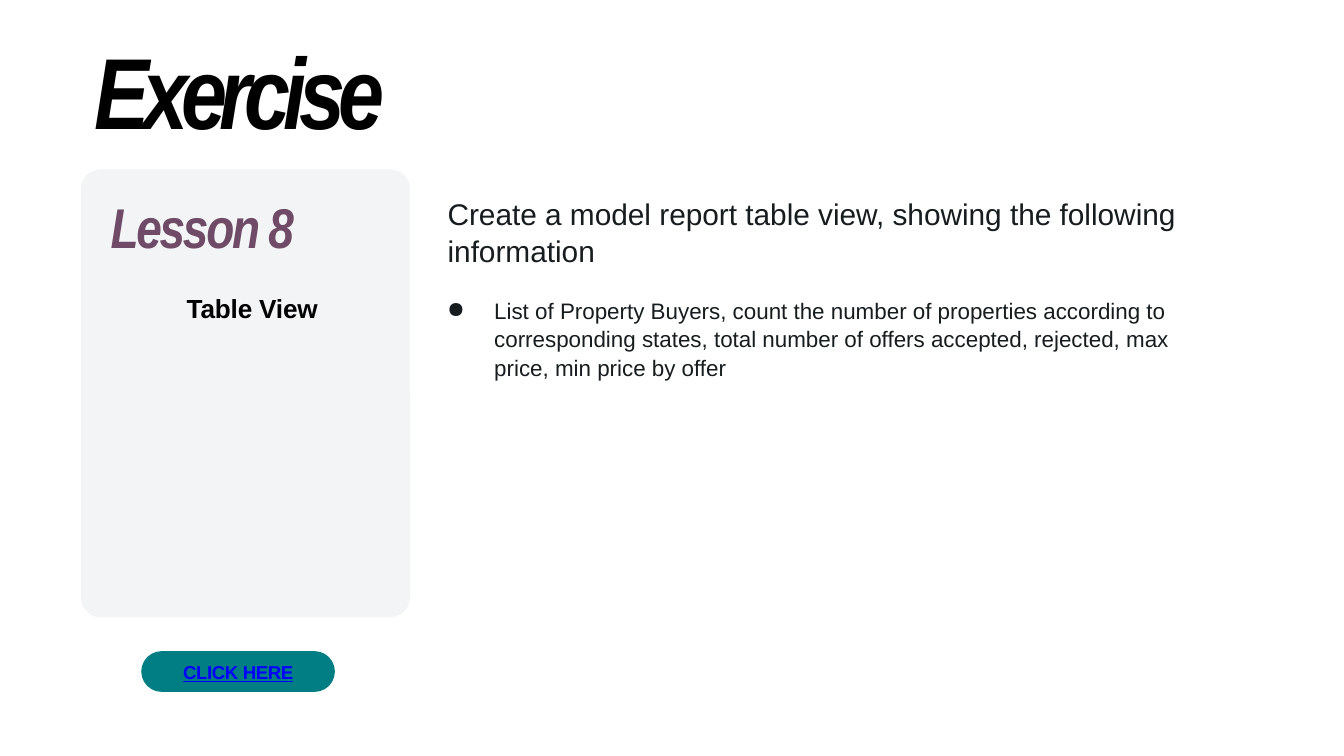
from lxml import etree
from pptx import Presentation
from pptx.dml.color import RGBColor
from pptx.enum.shapes import MSO_SHAPE
from pptx.enum.text import MSO_ANCHOR, MSO_AUTO_SIZE, PP_ALIGN
from pptx.oxml.ns import qn
from pptx.util import Cm, Pt

ROUNDED = MSO_SHAPE.ROUNDED_RECTANGLE
TOP, LEFT, NO_AUTOFIT = MSO_ANCHOR.TOP, PP_ALIGN.LEFT, MSO_AUTO_SIZE.NONE
TITLE_ONLY = 5

# Tracking is in hundredths of a point.
THEME = {
    "card": "F2F4F6",
    "button": "017E83",
    "styles": {
        "title": dict(name="Arial Narrow", size=54, color="000000", bold=True, italic=True, tracking=-380),
        "lesson": dict(name="Arial Narrow", size=30, color="704B67", bold=True, italic=True, tracking=-120),
        "topic": dict(name="Arial", size=14, color="000000", bold=True, tracking=-10),
        "task": dict(name="Arial", size=16, color="171C1F"),
        "detail": dict(name="Arial", size=12, color="171C1F"),
        "link": dict(name="Arial", size=10, color="0000FF", bold=True, underline=True, tracking=-20),
    },
}

# Boxes are left, top, width, height in centimetres.
PANELS = [
    dict(box=(1.53, 3.2, 6.22, 8.46), color="card", rounding=0.06),
    dict(box=(2.67, 12.3, 3.66, 0.77), color="button", rounding=0.5),
]
TITLE = dict(box=(0.51, 0.36, 8.81, 2.49), inset=0.18,
             paragraphs=[dict(text="Exercise", style="title", margin=1.27)])
TEXTS = [
    dict(box=(8.43, 3.63, 16.54, 1.4), paragraphs=[
        dict(text="Create a model report table view, showing the following information",
             style="task", line_spacing=1.05)]),
    dict(box=(8.43, 5.56, 14.35, 1.57), paragraphs=[
        dict(text="List of Property Buyers, count the number of properties according to "
                  "corresponding states, total number of offers accepted, rejected, max "
                  "price, min price by offer",
             style="detail", line_spacing=1.05, margin=0.91, indent=-0.89, bullet="●")]),
    dict(box=(2.06, 3.61, 5.69, 2.54), paragraphs=[
        dict(text="Lesson 8", style="lesson"),
        dict(text="Table View", style="topic", margin=1.47, space_before=17.2)]),
    dict(box=(3.43, 12.45, 2.16, 0.48), paragraphs=[
        dict(text="CLICK HERE", style="link")]),
]


def lengths(box):
    return [Cm(value) for value in box]


def add_panel(slide, panel):
    shape = slide.shapes.add_shape(ROUNDED, *lengths(panel["box"]))
    shape.adjustments[0] = panel["rounding"]
    shape.shadow.inherit = False
    shape.fill.solid()
    shape.fill.fore_color.rgb = RGBColor.from_string(THEME[panel["color"]])
    shape.line.fill.background()


def write_run(paragraph, text, style):
    run = paragraph.add_run()
    run.text = text
    values = dict(style)
    run.font.color.rgb = RGBColor.from_string(values.pop("color"))
    run.font.size = Pt(values.pop("size"))
    tracking = values.pop("tracking", 0)
    for name, value in values.items():
        setattr(run.font, name, value)
    if tracking:
        run.font._element.set("spc", str(tracking))


def write_paragraph(paragraph, content):
    paragraph.alignment = LEFT
    paragraph.space_before = Pt(content.get("space_before", 1))
    paragraph.line_spacing = content.get("line_spacing", 1.0)
    properties = paragraph._p.get_or_add_pPr()
    properties.set("marL", str(Cm(content.get("margin", 0.03))))
    properties.set("indent", str(Cm(content.get("indent", 0))))
    if "bullet" in content:
        etree.SubElement(properties, qn("a:buChar")).set("char", content["bullet"])
    write_run(paragraph, content["text"], THEME["styles"][content["style"]])


def fill_text(shape, content):
    shape.left, shape.top, shape.width, shape.height = lengths(content["box"])
    frame = shape.text_frame
    settings = dict(word_wrap=True, auto_size=NO_AUTOFIT, vertical_anchor=TOP,
                    margin_left=0, margin_right=0, margin_bottom=0,
                    margin_top=Cm(content.get("inset", 0.03)))
    for name, value in settings.items():
        setattr(frame, name, value)
    for index, paragraph_content in enumerate(content["paragraphs"]):
        paragraph = frame.add_paragraph() if index else frame.paragraphs[0]
        write_paragraph(paragraph, paragraph_content)


def main():
    presentation = Presentation()
    presentation.slide_width, presentation.slide_height = Cm(25.4), Cm(14.28)
    slide = presentation.slides.add_slide(presentation.slide_layouts[TITLE_ONLY])
    for panel in PANELS:
        add_panel(slide, panel)
    fill_text(slide.shapes.title, TITLE)
    for content in TEXTS:
        fill_text(slide.shapes.add_textbox(*lengths(content["box"])), content)
    presentation.save("out.pptx")


if __name__ == "__main__":
    main()
